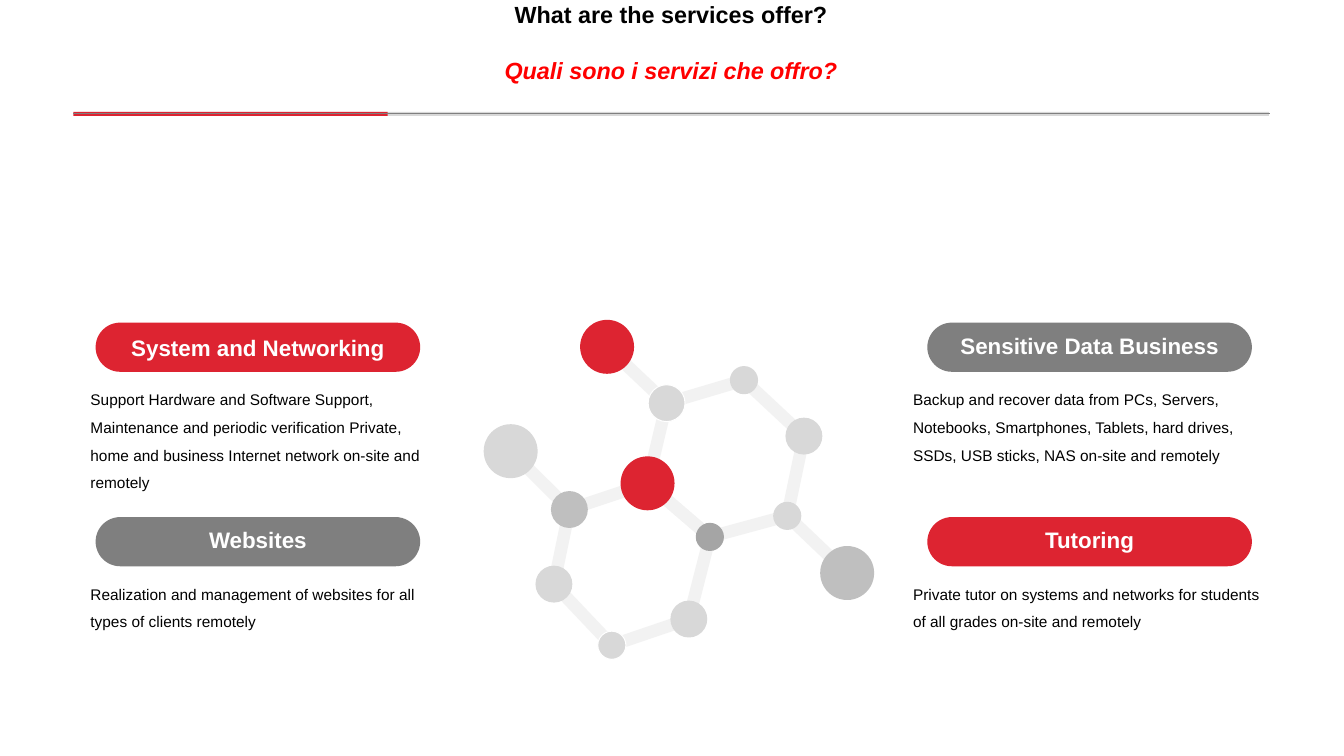
from lxml.etree import SubElement
from pptx import Presentation
from pptx.dml.color import RGBColor
from pptx.enum.shapes import MSO_CONNECTOR, MSO_SHAPE
from pptx.enum.text import MSO_ANCHOR, MSO_AUTO_SIZE, PP_ALIGN
from pptx.oxml.ns import qn
from pptx.util import Cm, Pt

RED, GRAY, PALE, MID, DARK, BOND = "DD2431", "7F7F7F", "D8D8D8", "BFBFBF", "A5A5A5", "F2F2F2"
BIG, MEAN, SMALL = 1.36, 0.93, 0.71

ATOMS = {
    "hub": (16.32, 12.18, BIG, RED, None),
    "east": (20.26, 10.99, MEAN, PALE, None),
    "north": (16.80, 10.16, MEAN, PALE, "FFFFFF"),
    "west": (14.35, 12.84, MEAN, MID, None),
    "low": (13.96, 14.72, MEAN, PALE, None),
    "south": (17.36, 15.60, MEAN, PALE, None),
    "left": (12.87, 11.37, BIG, PALE, None),
    "right": (21.35, 14.44, BIG, MID, None),
    "top": (15.30, 8.74, BIG, RED, None),
    "peak": (18.75, 9.58, SMALL, PALE, None),
    "joint": (19.84, 13.00, SMALL, PALE, None),
    "core": (17.89, 13.53, SMALL, DARK, None),
    "base": (15.42, 16.26, SMALL, PALE, "FFFFFF"),
}
RINGS = [
    ("core", "joint", "east", "peak", "north", "hub"),
    ("base", "south", "core", "hub", "west", "low"),
]
TAILS = [("north", "top"), ("west", "left"), ("joint", "right")]

LEFT = (2.41, 2.03, 8.94)
RIGHT = (23.37, 22.76, 9.40)
CARDS = [
    (LEFT, 8.13, RED, 1.0, "System and Networking",
     "Support Hardware and Software Support, Maintenance and periodic verification Private, "
     "home and business Internet network on-site and remotely"),
    (LEFT, 13.03, GRAY, 0.9, "Websites",
     "Realization and management of websites for all types of clients remotely"),
    (RIGHT, 8.13, GRAY, 0.9, "Sensitive Data Business",
     "Backup and recover data from PCs, Servers, Notebooks, Smartphones, Tablets, hard drives, "
     "SSDs, USB sticks, NAS on-site and remotely"),
    (RIGHT, 13.03, RED, 0.9, "Tutoring",
     "Private tutor on systems and networks for students of all grades on-site and remotely"),
]


def color(code):
    """Turn a hex string into a colour."""
    return RGBColor.from_string(code)


def write(part, text, size=11, ink="000000", bold=False, italic=False,
          align=PP_ALIGN.LEFT, spacing=1.0, before=0):
    """Fill a paragraph with formatted text."""
    part.alignment = align
    part.line_spacing = spacing
    part.space_before = Pt(before)
    run = part.add_run()
    run.text = text
    font = run.font
    font.name, font.size = "Arial", Pt(size)
    font.bold, font.italic = bold, italic
    font.color.rgb = color(ink)


def shape(slide, kind, x, y, w, h, fill, line=None):
    """Add a filled preset shape."""
    item = slide.shapes.add_shape(kind, Cm(x), Cm(y), Cm(w), Cm(h))
    item.shadow.inherit = False
    item.fill.solid()
    item.fill.fore_color.rgb = color(fill)
    if line:
        item.line.color.rgb = color(line)
        item.line.width = Pt(0.75)
    else:
        item.line.fill.background()
    return item


def link(slide, start, end, ink, width):
    """Draw a straight line between two points."""
    item = slide.shapes.add_connector(
        MSO_CONNECTOR.STRAIGHT, *[Cm(v) for v in (*start, *end)])
    item.line.color.rgb = color(ink)
    item.line.width = Pt(width)
    SubElement(item._element.spPr, qn("a:effectLst"))


def ring(slide, points):
    """Draw a closed outline through the points."""
    spots = [(Cm(x), Cm(y)) for x, y in points]
    maker = slide.shapes.build_freeform(*spots[0])
    maker.add_line_segments(spots[1:], close=True)
    item = maker.convert_to_shape()
    item.shadow.inherit = False
    item.fill.background()
    item.line.color.rgb = color(BOND)
    item.line.width = Pt(8.87)


def head(slide):
    """Write the title and draw the rule under it."""
    title = slide.shapes.title
    title.left, title.top, title.width, title.height = Cm(1.85), Cm(0), Cm(30.12), Cm(2.84)
    frame = title.text_frame
    frame.auto_size = MSO_AUTO_SIZE.NONE
    frame.vertical_anchor = MSO_ANCHOR.TOP
    frame.margin_left = frame.margin_right = frame.margin_top = frame.margin_bottom = Cm(0)
    style = {"size": 16.7, "bold": True, "align": PP_ALIGN.CENTER, "spacing": Pt(20)}
    write(frame.paragraphs[0], "What are the services offer?", **style)
    write(frame.add_paragraph(), "Quali sono i servizi che offro?",
          ink="FF0000", italic=True, before=20, **style)
    shape(slide, MSO_SHAPE.RECTANGLE, 1.96, 2.82, 30.02, 0.1, PALE)
    shape(slide, MSO_SHAPE.RECTANGLE, 1.85, 2.82, 7.92, 0.1, RED)
    link(slide, (1.85, 2.87), (32, 2.87), GRAY, 0.75)


def web(slide):
    """Draw the bonds and then the atoms over them."""
    for names in RINGS:
        ring(slide, [ATOMS[name][:2] for name in names])
    for start, end in TAILS:
        link(slide, ATOMS[start][:2], ATOMS[end][:2], BOND, 8.87)
    for x, y, size, fill, line in ATOMS.values():
        shape(slide, MSO_SHAPE.OVAL, x - size / 2, y - size / 2, size, size, fill, line)


def card(slide, side, y, fill, spacing, name, text):
    """Add a heading pill with its description below."""
    x, start, width = side
    pill = shape(slide, MSO_SHAPE.ROUNDED_RECTANGLE, x, y, 8.18, 1.24, fill)
    pill.adjustments[0] = 0.5
    pill.text_frame.vertical_anchor = MSO_ANCHOR.MIDDLE
    write(pill.text_frame.paragraphs[0], name, size=16, ink="FFFFFF", bold=True,
          align=PP_ALIGN.CENTER, spacing=spacing)
    box = slide.shapes.add_textbox(Cm(start), Cm(y + 1.35), Cm(width), Cm(3))
    box.text_frame.word_wrap = True
    write(box.text_frame.paragraphs[0], text, spacing=1.5)


def main():
    """Build the slide and save it."""
    deck = Presentation()
    deck.slide_width, deck.slide_height = Cm(33.87), Cm(19.05)
    slide = deck.slides.add_slide(deck.slide_layouts[5])
    head(slide)
    web(slide)
    for item in CARDS:
        card(slide, *item)
    deck.save("out.pptx")


if __name__ == "__main__":
    main()
